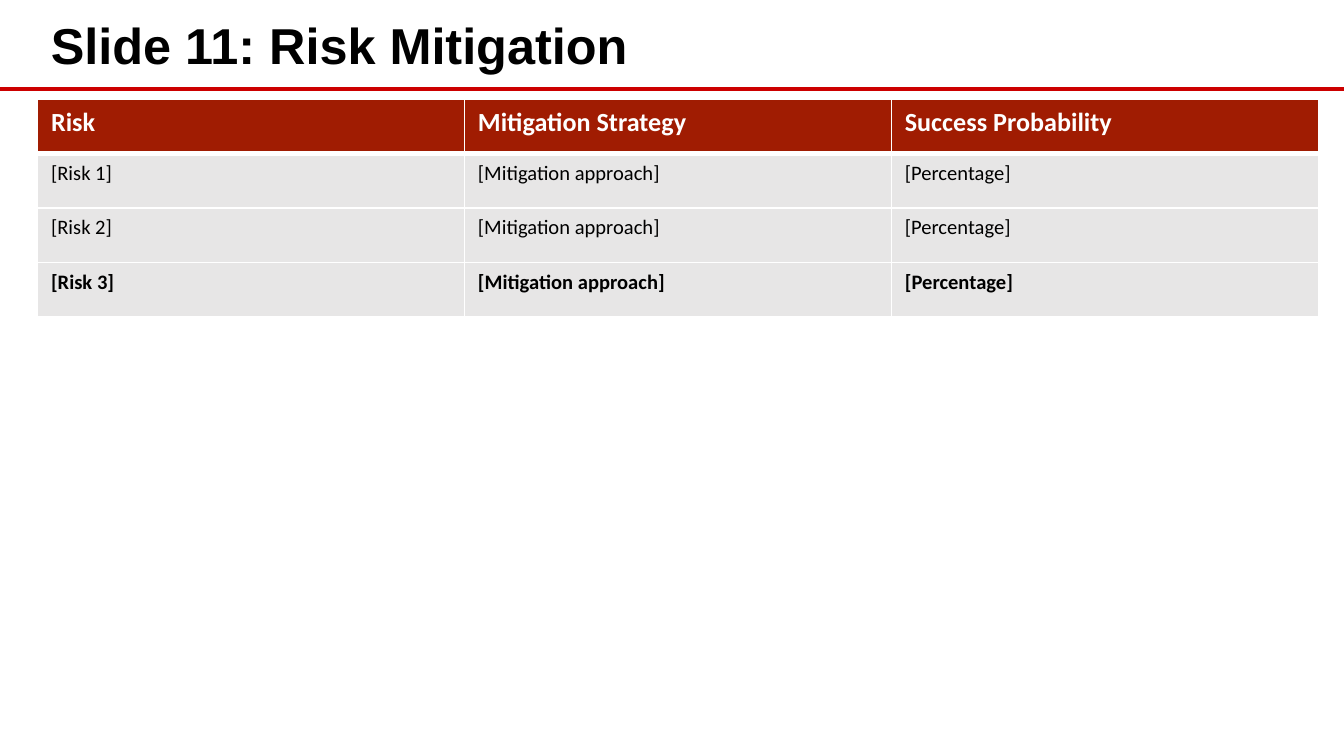
from dataclasses import dataclass

from lxml.etree import SubElement
from pptx import Presentation
from pptx.dml.color import RGBColor as Rgb
from pptx.enum.shapes import MSO_CONNECTOR as Connector
from pptx.enum.text import MSO_ANCHOR as Anchor
from pptx.oxml.ns import qn
from pptx.util import Inches, Pt


@dataclass(frozen=True)
class Theme:
    title_font: str = "Arial"
    table_font: str = "Calibri"
    title_size: float = 27
    header_size: float = 14
    body_size: float = 11
    rule: str = "CC0000"
    header_fill: str = "A01C02"
    body_fill: str = "E7E6E6"
    light: str = "FFFFFF"
    dark: str = "000000"


THEME = Theme()
WIDTH = 10
HEIGHT = WIDTH * 9 / 16
LEFT, CONTENT_WIDTH = 0.28, 9.53
TABLE_TOP, TABLE_HEIGHT = 0.74, 1.62

RISKS = [
    ("Risk", "Mitigation Strategy", "Success Probability"),
    *[(f"[Risk {n}]", "[Mitigation approach]", "[Percentage]") for n in (1, 2, 3)],
]


def write(frame, text, color, **font_format):
    run = frame.paragraphs[0].add_run()
    run.text = text
    for name, value in font_format.items():
        setattr(run.font, name, value)
    run.font.color.rgb = Rgb.from_string(color)


def add_rule(slide, y):
    rule = slide.shapes.add_connector(
        Connector.STRAIGHT, 0, Inches(y), Inches(WIDTH), Inches(y))
    rule.line.color.rgb = Rgb.from_string(THEME.rule)
    rule.line.width = Pt(2.25)
    SubElement(rule._element.spPr, qn("a:effectLst"))


def add_title(slide, text):
    title = slide.shapes.add_textbox(
        *map(Inches, (LEFT, 0.04, CONTENT_WIDTH, 0.58)))
    frame = title.text_frame
    frame.word_wrap = True
    frame.vertical_anchor = Anchor.MIDDLE
    write(frame, text, THEME.dark, name=THEME.title_font,
          size=Pt(THEME.title_size), bold=True)


def add_borders(cell, widths):
    properties = cell._tc.get_or_add_tcPr()
    # Borders come before the fill in the cell properties
    for index, (side, width) in enumerate(widths.items()):
        border = SubElement(properties, qn(f"a:ln{side}"), w=str(Pt(width)))
        fill = SubElement(border, qn("a:solidFill"))
        SubElement(fill, qn("a:srgbClr"), val=THEME.light)
        properties.insert(index, border)


def add_risk_table(slide, rows):
    column_count = len(rows[0])
    table = slide.shapes.add_table(
        len(rows), column_count, Inches(LEFT), Inches(TABLE_TOP),
        Inches(CONTENT_WIDTH), Inches(TABLE_HEIGHT)).table
    for column in table.columns:
        column.width = Inches(CONTENT_WIDTH / column_count)

    for r, row in enumerate(rows):
        is_header = r == 0
        table.rows[r].height = Inches(TABLE_HEIGHT / len(rows))
        for c, text in enumerate(row):
            cell = table.cell(r, c)
            cell.fill.solid()
            cell.fill.fore_color.rgb = Rgb.from_string(
                THEME.header_fill if is_header else THEME.body_fill)
            add_borders(cell, {"L": 1, "R": 1, "T": 3 if r == 1 else 1,
                               "B": 3 if is_header else 1})
            write(cell.text_frame, text,
                  THEME.light if is_header else THEME.dark,
                  name=THEME.table_font,
                  size=Pt(THEME.header_size if is_header else THEME.body_size),
                  bold=r in (0, len(rows) - 1))


def main():
    deck = Presentation()
    deck.slide_width, deck.slide_height = Inches(WIDTH), Inches(HEIGHT)
    slide = deck.slides.add_slide(deck.slide_layouts[6])

    # Heading
    add_rule(slide, 0.66)
    add_title(slide, "Slide 11: Risk Mitigation")

    # Risks and their mitigation
    add_risk_table(slide, RISKS)

    deck.save("out.pptx")


if __name__ == "__main__":
    main()
